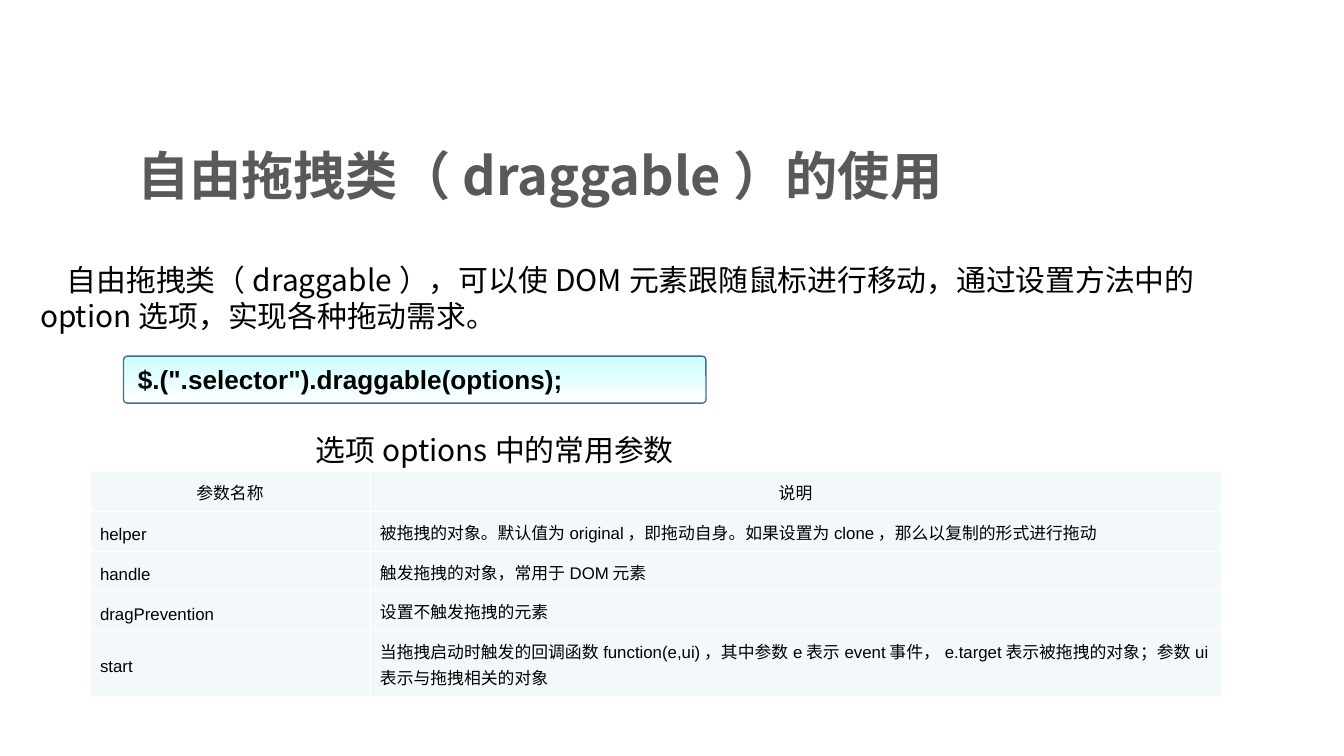
from lxml import etree
from pptx import Presentation
from pptx.dml.color import RGBColor
from pptx.enum import shapes, text
from pptx.oxml import ns
from pptx.util import Pt

GRAY = RGBColor(0x59, 0x59, 0x59)
BLACK = RGBColor(0, 0, 0)
WHITE = RGBColor(0xFF, 0xFF, 0xFF)
CYAN = RGBColor(0xCC, 0xFF, 0xFF)
STEEL = RGBColor(0x3F, 0x70, 0x91)
PALE = RGBColor(0xF3, 0xF9, 0xFA)
CJK = "Noto Sans CJK SC"
LATIN = "Arial"

OPTIONS = [
    ("参数名称", "说明"),
    ("helper", "被拖拽的对象。默认值为original，即拖动自身。如果设置为clone，那么以复制的形式进行拖动"),
    ("handle", "触发拖拽的对象，常用于DOM元素"),
    ("dragPrevention", "设置不触发拖拽的元素"),
    ("start", "当拖拽启动时触发的回调函数function(e,ui)，其中参数e表示event事件，"
              "e.target表示被拖拽的对象；参数ui表示与拖拽相关的对象"),
]


def write(frame, words, size, face=CJK, color=BLACK, bold=False):
    """Fill a text frame with one styled paragraph and return it."""
    frame.word_wrap = True
    para = frame.paragraphs[0]
    para.text = words
    para.alignment = text.PP_ALIGN.LEFT
    font = para.font
    font.size, font.bold, font.name = Pt(size), bold, face
    font.color.rgb = color
    etree.SubElement(font._element, ns.qn("a:ea"), typeface=CJK)
    return para


def add_text(page, box, words, size, anchor=text.MSO_ANCHOR.TOP, **style):
    """Place a text box and return its paragraph."""
    frame = page.shapes.add_textbox(*map(Pt, box)).text_frame
    frame.vertical_anchor = anchor
    return write(frame, words, size, **style)


def add_intro(page, box):
    """Place the introduction with an indented first line."""
    para = add_text(page, box, "自由拖拽类（draggable），可以使DOM元素跟随鼠标进行移动，"
                    "通过设置方法中的option选项，实现各种拖动需求。", 16)
    para._p.get_or_add_pPr().set("indent", str(Pt(14.4)))


def add_code(page, box):
    """Place the rounded code panel."""
    panel = page.shapes.add_shape(shapes.MSO_SHAPE.ROUNDED_RECTANGLE, *map(Pt, box))
    panel.adjustments[0] = 0.08
    panel.shadow.inherit = False
    panel.fill.gradient()
    panel.fill.gradient_angle = 270
    for stop, color in zip(panel.fill.gradient_stops, (CYAN, WHITE)):
        stop.color.rgb = color
    panel.line.color.rgb = STEEL
    panel.line.width = Pt(0.75)
    panel.text_frame.vertical_anchor = text.MSO_ANCHOR.TOP
    write(panel.text_frame, '$.(".selector").draggable(options);', 14, face=LATIN, bold=True)


def add_borders(cell):
    """Draw thin white lines on all sides of a cell."""
    props = cell._tc.get_or_add_tcPr()
    for place, side in enumerate(("lnL", "lnR", "lnT", "lnB")):
        line = etree.Element(ns.qn(f"a:{side}"), w=str(Pt(0.45)))
        fill = etree.SubElement(line, ns.qn("a:solidFill"))
        etree.SubElement(fill, ns.qn("a:srgbClr"), val=str(WHITE))
        props.insert(place, line)


def add_options(page, box):
    """Place the table of options."""
    table = page.shapes.add_table(len(OPTIONS), 2, *map(Pt, box)).table
    table.first_row = table.horz_banding = False
    name_width = 150
    for column, width in zip(table.columns, (name_width, box[2] - name_width)):
        column.width = Pt(width)
    line, margin = 14, 3.6
    for row, (entry, lines) in enumerate(zip(OPTIONS, (1, 1, 1, 1, 2))):
        table.rows[row].height = Pt(lines * line + 2 * margin)
        for col, words in enumerate(entry):
            cell = table.cell(row, col)
            cell.margin_left = cell.margin_right = Pt(5.4)
            cell.margin_top = cell.margin_bottom = Pt(margin)
            cell.vertical_anchor = text.MSO_ANCHOR.MIDDLE
            cell.fill.solid()
            cell.fill.fore_color.rgb = PALE
            add_borders(cell)
            para = write(cell.text_frame, words, 9, face=LATIN)
            para.line_spacing = Pt(line)
            if row == 0:
                para.alignment = text.PP_ALIGN.CENTER


def main():
    """Build and save the slide."""
    deck = Presentation()
    deck.slide_width, deck.slide_height = Pt(720), Pt(405)
    page = deck.slides.add_slide(deck.slide_layouts[6])
    add_text(page, (66.4, 70.6, 516, 45.4), "自由拖拽类（draggable）的使用", 28,
             anchor=text.MSO_ANCHOR.MIDDLE, color=GRAY, bold=True)
    add_intro(page, (14.4, 136.8, 678, 46))
    add_options(page, (48.2, 252.8, 606, 120))
    add_text(page, (162, 227.5, 294, 27), "选项options中的常用参数", 16)
    add_code(page, (66.2, 190.8, 312, 25.2))
    deck.save("out.pptx")


if __name__ == "__main__":
    main()
